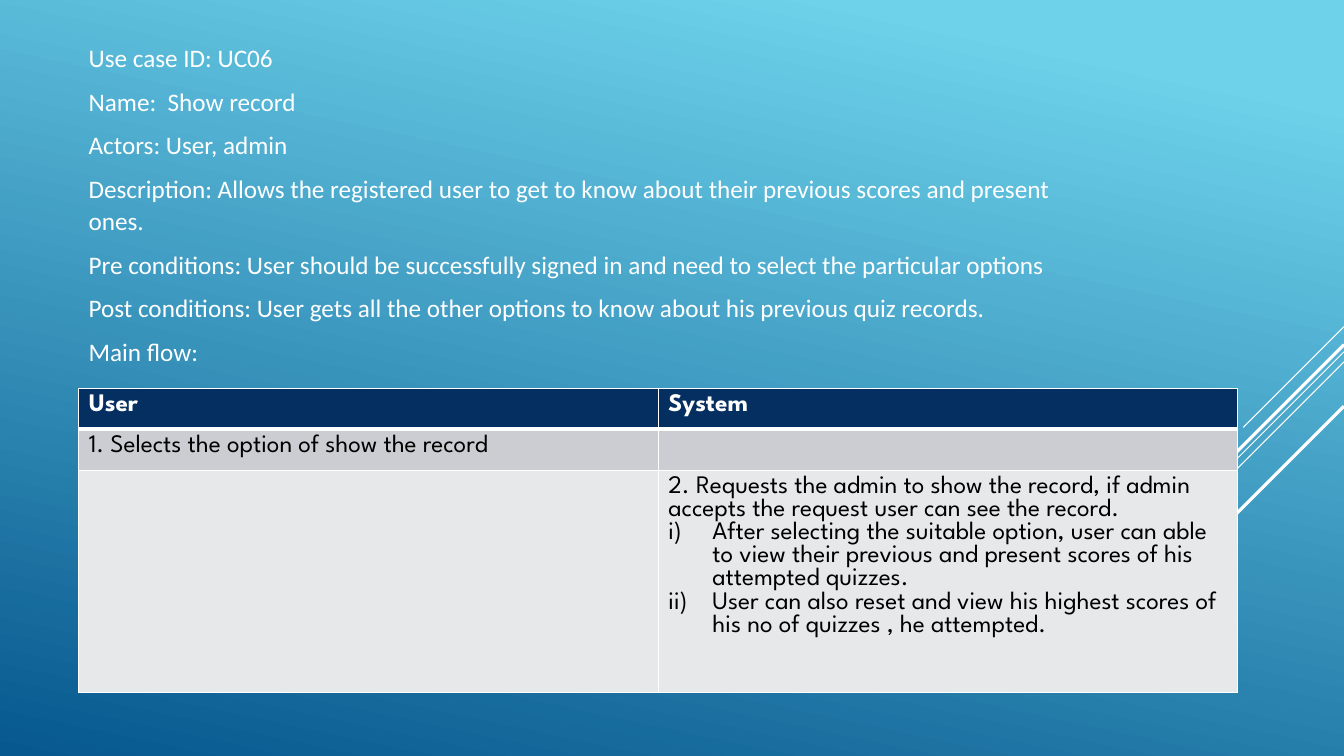
import pptx
import pptx.dml.color
import pptx.enum.shapes
import pptx.oxml
import pptx.oxml.ns
import pptx.util
from pptx.util import Pt

RGBColor = pptx.dml.color.RGBColor
WHITE = RGBColor(0xFF, 0xFF, 0xFF)
BLACK = RGBColor(0, 0, 0)
NAVY = RGBColor(0x05, 0x2F, 0x61)
GREY = RGBColor(0xCC, 0xCD, 0xD2)
PALE = RGBColor(0xE7, 0xE8, 0xEA)
SKY = RGBColor(0x6E, 0xD2, 0xEB)
DEEP = RGBColor(0x06, 0x58, 0x8E)

WIDTH, HEIGHT = 960, 540
STREAKS = [(233.3, 72, 0.75), (251.3, 234.7, 0.75), (258.5, 149.2, 0.75),
           (246.2, 137.5, 2.25), (290.2, 100.2, 2.25)]
DETAILS = [
    "Use case ID: UC06",
    "Name:  Show record",
    "Actors: User, admin",
    "Description: Allows the registered user to get to know about their previous scores and present ones.",
    "Pre conditions: User should be successfully signed in and need to select the particular options",
    "Post conditions: User gets all the other options to know about his previous quiz records.",
    "Main flow:",
]
FLOW = [
    (29.3, NAVY, WHITE, [["User"], ["System"]]),
    (29.3, GREY, BLACK, [["1. Selects the option of show the record"], []]),
    (158.4, PALE, BLACK, [[], [
        "2. Requests the admin to show the record, if admin accepts the request user can see the record.",
        "After selecting the suitable option, user can able to view their previous and present scores of his attempted quizzes.",
        "User can also reset and view his highest scores of his no of quizzes , he attempted.",
    ]]),
]


def set_background(s):
    """Fill the slide with the blue gradient."""
    fill = s.background.fill
    fill.gradient()
    fill.gradient_angle = 258
    for stop, position, color in zip(fill.gradient_stops, (0.1, 1), (SKY, DEEP)):
        stop.position = position
        stop.color.rgb = color


def add_streak(s, top, run, weight):
    """Draw a diagonal line down and left from the right edge."""
    line = s.shapes.add_connector(
        pptx.enum.shapes.MSO_CONNECTOR.STRAIGHT,
        Pt(WIDTH), Pt(top), Pt(WIDTH - run), Pt(top + run))
    line.line.color.rgb = WHITE
    line.line.width = Pt(weight)
    sp_pr = line._element.spPr
    sp_pr.append(sp_pr.makeelement(pptx.oxml.ns.qn("a:effectLst"), {}))


def add_paragraph(tf, index, text, font, color, bold=False):
    """Write one 18 point paragraph and return it."""
    p = tf.paragraphs[0] if index == 0 else tf.add_paragraph()
    r = p.add_run()
    r.text = text
    r.font.size = Pt(18)
    r.font.name = font
    r.font.bold = bold
    r.font.color.rgb = color
    return p


def add_details(s):
    """Add the use case description above the table."""
    tf = s.shapes.add_textbox(Pt(56.2), Pt(25.2), Pt(714.2), Pt(241.2)).text_frame
    tf.word_wrap = True
    for i, text in enumerate(DETAILS):
        p = add_paragraph(tf, i, text, "Calibri", WHITE)
        p.line_spacing = 1.07
        p.space_after = Pt(8)


def number_roman(p):
    """Give a paragraph a hanging lower-case roman number."""
    p_pr = p._p.get_or_add_pPr()
    p_pr.set("marL", str(Pt(31.5)))
    p_pr.set("indent", str(-Pt(31.5)))
    tags = (("a:buFont", {"typeface": "+mj-lt"}),
            ("a:buAutoNum", {"type": "romanLcParenR"}))
    for tag, attributes in tags:
        p_pr.append(p_pr.makeelement(pptx.oxml.ns.qn(tag), attributes))


def set_borders(cell, bottom):
    """Draw white borders with the given bottom weight."""
    tc_pr = cell._tc.get_or_add_tcPr()
    for i, (side, weight) in enumerate((("L", 1), ("R", 1), ("T", 1), ("B", bottom))):
        tc_pr.insert(i, pptx.oxml.parse_xml(
            f'<a:ln{side} {pptx.oxml.ns.nsdecls("a")} w="{Pt(weight)}"><a:solidFill>'
            f'<a:srgbClr val="{WHITE}"/></a:solidFill></a:ln{side}>'))


def add_flow_table(s):
    """Add the table of user and system steps."""
    height = sum(row[0] for row in FLOW)
    table = s.shapes.add_table(len(FLOW), 2, Pt(56.2), Pt(277.4), Pt(828), Pt(height)).table
    for i, (row_height, fill, color, texts) in enumerate(FLOW):
        table.rows[i].height = Pt(row_height)
        for cell, lines in zip(table.rows[i].cells, texts):
            cell.fill.solid()
            cell.fill.fore_color.rgb = fill
            set_borders(cell, 3 if i == 0 else 1)
            for j, text in enumerate(lines):
                p = add_paragraph(cell.text_frame, j, text, "League Spartan", color, i == 0)
                if j > 0:
                    number_roman(p)


def main():
    """Build the use case slide."""
    prs = pptx.Presentation()
    prs.slide_width, prs.slide_height = Pt(WIDTH), Pt(HEIGHT)
    s = prs.slides.add_slide(prs.slide_layouts[6])
    set_background(s)
    for streak in STREAKS:
        add_streak(s, *streak)
    add_details(s)
    add_flow_table(s)
    prs.save("out.pptx")


if __name__ == "__main__":
    main()
